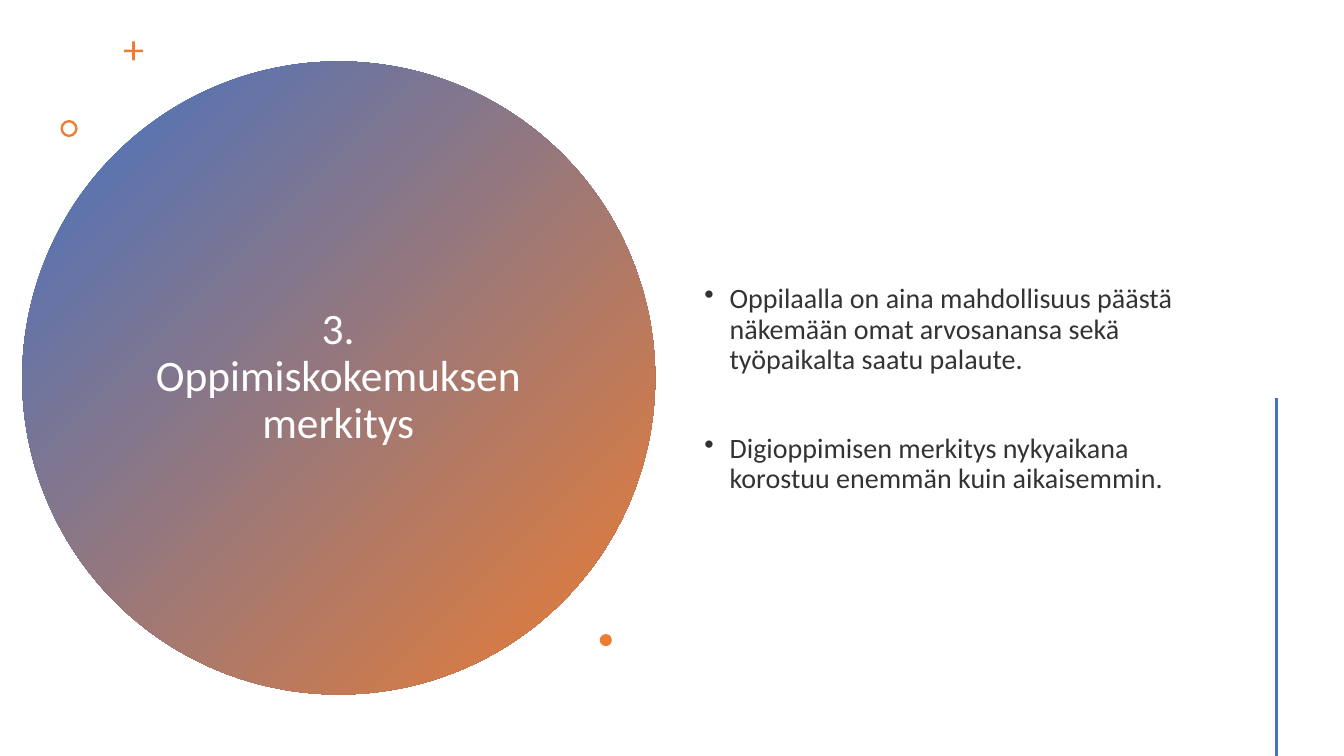
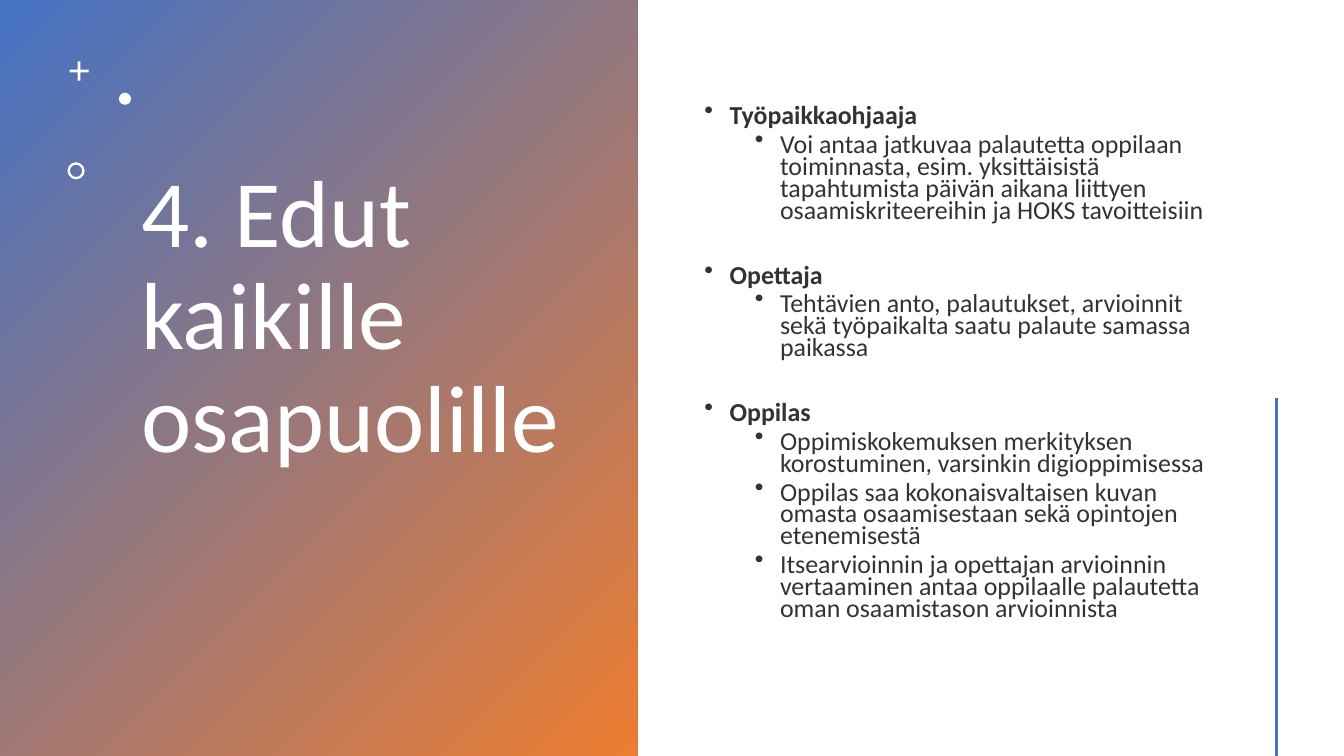
from lxml.etree import SubElement
from pptx import Presentation
from pptx.dml.color import RGBColor
from pptx.enum.shapes import MSO_CONNECTOR, MSO_SHAPE
from pptx.enum.text import MSO_ANCHOR, MSO_AUTO_SIZE, PP_ALIGN as ALIGN
from pptx.oxml.ns import qn
from pptx.util import Inches, Pt

BLUE = RGBColor(0x44, 0x72, 0xC4)
ORANGE = RGBColor(0xED, 0x7D, 0x31)
WHITE = RGBColor(0xFF, 0xFF, 0xFF)
INK = RGBColor(0x33, 0x33, 0x33)
FONT = "Calibri"

presentation = Presentation()
presentation.slide_width = Inches(13.33)
presentation.slide_height = Inches(7.5)
COLUMN = presentation.slide_width / 160
ROW = presentation.slide_height / 90
BODY_LEFT, BODY_WIDTH = 82.68, 62.64
RULE_LEFT, RULE_TOP = 152, 47.4

MARKERS = {
    "plus": (MSO_SHAPE.CROSS, 2.28, 0.43),
    "ring": (MSO_SHAPE.DONUT, 2.04, 0.14),
    "dot": (MSO_SHAPE.OVAL, 1.44, None),
}

SLIDES = [
    {
        "title": "3. Oppimiskokemuksen merkitys",
        "title_box": (16.32, 16.92, 47.88, 56.04),
        "title_size": 31,
        "title_align": ALIGN.CENTER,
        "panel": MSO_SHAPE.OVAL,
        "panel_box": (2.64, 7.32, 75.36, 75.36),
        "marker_color": ORANGE,
        "markers": {"plus": (14.76, 4.92), "ring": (7.2, 14.28), "dot": (71.4, 75.48)},
        "body_rows": (20.04, 52.68),
        "body_size": 20,
        "line_spacing": 0.9,
        "bold_heads": False,
        "section_gap": 42,
        "sections": [
            ("Oppilaalla on aina mahdollisuus päästä näkemään omat arvosanansa "
             "sekä työpaikalta saatu palaute.", []),
            ("Digioppimisen merkitys nykyaikana korostuu enemmän kuin aikaisemmin.", []),
        ],
    },
    {
        "title": "4. Edut kaikille osapuolille",
        "title_box": (15.6, 5.04, 52.56, 65.88),
        "title_size": 68,
        "title_align": ALIGN.LEFT,
        "panel": MSO_SHAPE.RECTANGLE,
        "panel_box": (0, 0, 75.84, 90),
        "marker_color": WHITE,
        "markers": {"plus": (8.28, 7.32), "dot": (14.16, 11.04), "ring": (8.04, 19.32)},
        "body_rows": (6.84, 73.08),
        "body_size": 18.5,
        "line_spacing": 0.7,
        "bold_heads": True,
        "section_gap": 31,
        "sections": [
            ("Työpaikkaohjaaja", [
                "Voi antaa jatkuvaa palautetta oppilaan toiminnasta, esim. yksittäisistä "
                "tapahtumista päivän aikana liittyen osaamiskriteereihin ja HOKS tavoitteisiin",
            ]),
            ("Opettaja", [
                "Tehtävien anto, palautukset, arvioinnit sekä työpaikalta saatu palaute "
                "samassa paikassa",
            ]),
            ("Oppilas", [
                "Oppimiskokemuksen merkityksen korostuminen, varsinkin digioppimisessa",
                "Oppilas saa kokonaisvaltaisen kuvan omasta osaamisestaan sekä opintojen "
                "etenemisestä",
                "Itsearvioinnin ja opettajan arvioinnin vertaaminen antaa oppilaalle "
                "palautetta oman osaamistason arvioinnista",
            ]),
        ],
    },
]


def place(left, top, width, height):
    return [round(n) for n in (left * COLUMN, top * ROW, width * COLUMN, height * ROW)]


def style_text(paragraph, size, color, spacing, bold=False):
    paragraph.line_spacing = spacing
    paragraph.font.name = FONT
    paragraph.font.size = Pt(size)
    paragraph.font.bold = bold
    paragraph.font.color.rgb = color


for content in SLIDES:
    slide = presentation.slides.add_slide(presentation.slide_layouts[5])

    title = slide.shapes.title
    title.left, title.top, title.width, title.height = place(*content["title_box"])
    title.text_frame.text = content["title"]
    title_paragraph = title.text_frame.paragraphs[0]
    title_paragraph.alignment = content["title_align"]
    style_text(title_paragraph, content["title_size"], WHITE, 0.9)

    panel = slide.shapes.add_shape(content["panel"], *place(*content["panel_box"]))
    panel.shadow.inherit = False
    panel.line.fill.background()
    panel.fill.gradient()
    panel.fill.gradient_angle = 315
    for stop, color in zip(panel.fill.gradient_stops, (BLUE, ORANGE)):
        stop.color.rgb = color
    title.element.addprevious(panel.element)

    for name, (left, top) in content["markers"].items():
        preset, size, thickness = MARKERS[name]
        marker = slide.shapes.add_shape(preset, *place(left, top, size, size))
        marker.shadow.inherit = False
        marker.line.fill.background()
        marker.fill.solid()
        marker.fill.fore_color.rgb = content["marker_color"]
        if thickness:
            marker.adjustments[0] = thickness

    top, height = content["body_rows"]
    body = slide.shapes.add_textbox(*place(BODY_LEFT, top, BODY_WIDTH, height))
    for frame in (title.text_frame, body.text_frame):
        frame.word_wrap = True
        frame.auto_size = MSO_AUTO_SIZE.NONE
        frame.vertical_anchor = MSO_ANCHOR.MIDDLE

    bullets = []
    for index, (head, details) in enumerate(content["sections"]):
        gap = content["section_gap"] if index else 10
        bullets.append((head, 0, gap, content["bold_heads"]))
        bullets += [(detail, 1, 5, False) for detail in details]

    for index, (text, level, gap, bold) in enumerate(bullets):
        frame = body.text_frame
        paragraph = frame.add_paragraph() if index else frame.paragraphs[0]
        paragraph.text = text
        paragraph.level = level
        paragraph.space_before = Pt(gap)
        properties = paragraph.font and paragraph._p.get_or_add_pPr()
        properties.set("marL", str(Inches(0.25 + 0.5 * level)))
        properties.set("indent", str(Inches(-0.25)))
        style_text(paragraph, content["body_size"], INK, content["line_spacing"], bold)
        bullet = SubElement(properties, qn("a:buChar"), char="•")
        properties.find(qn("a:defRPr")).addprevious(bullet)

    rule_x = round(RULE_LEFT * COLUMN)
    rule = slide.shapes.add_connector(
        MSO_CONNECTOR.STRAIGHT, rule_x, round(RULE_TOP * ROW), rule_x, presentation.slide_height
    )
    rule.line.color.rgb = BLUE
    rule.line.width = Pt(2)
    SubElement(rule.element.spPr, qn("a:effectLst"))

presentation.save("out.pptx")
